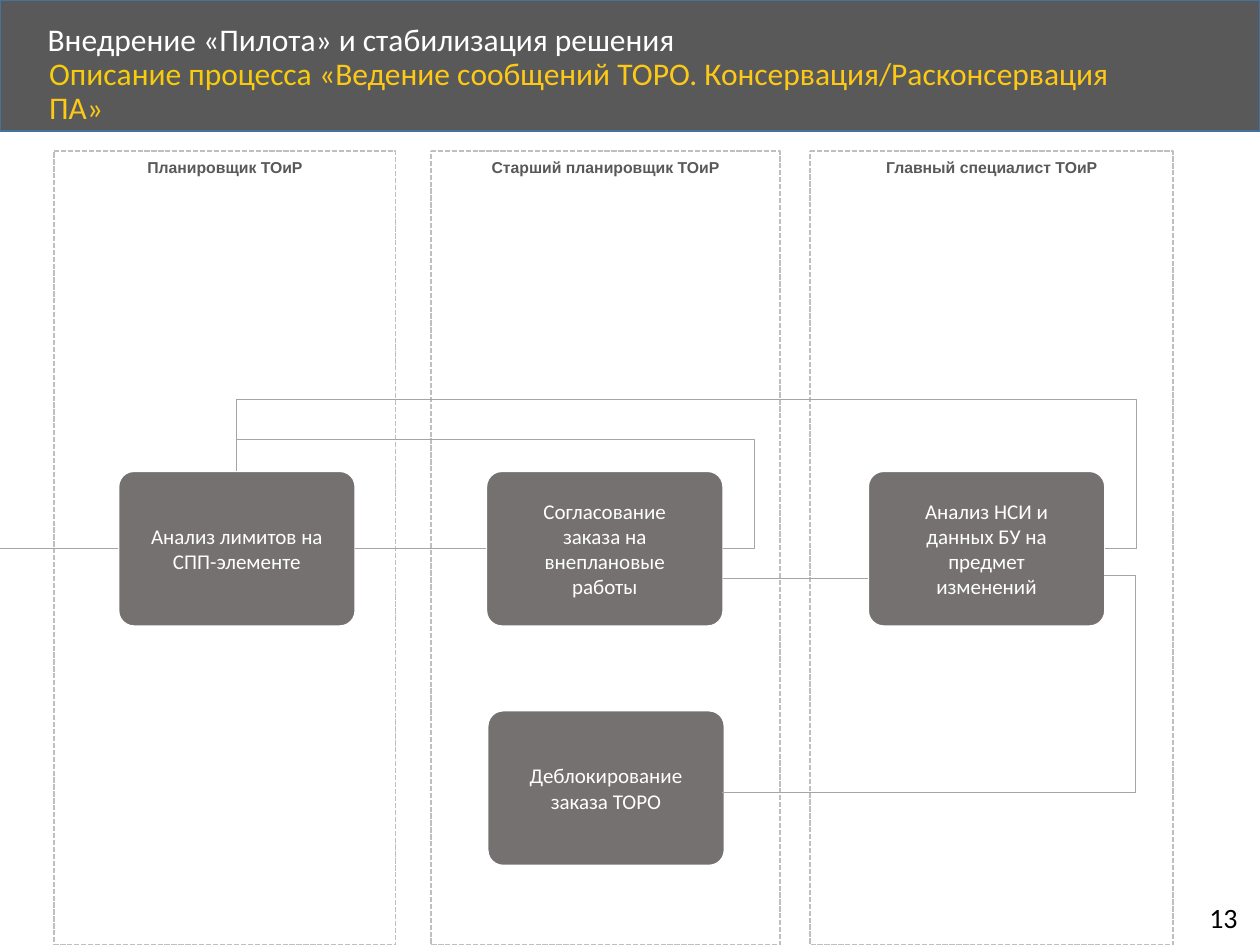
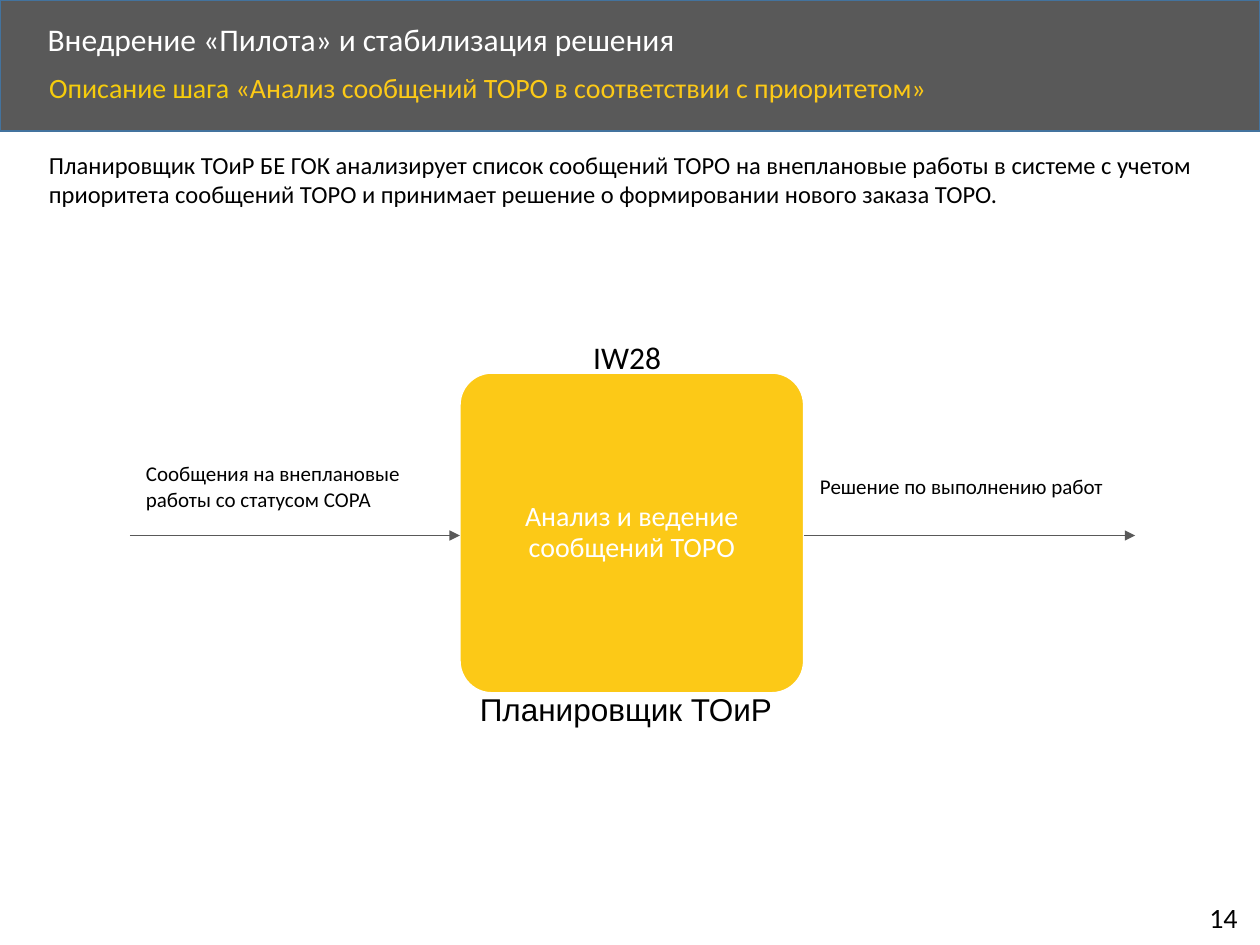
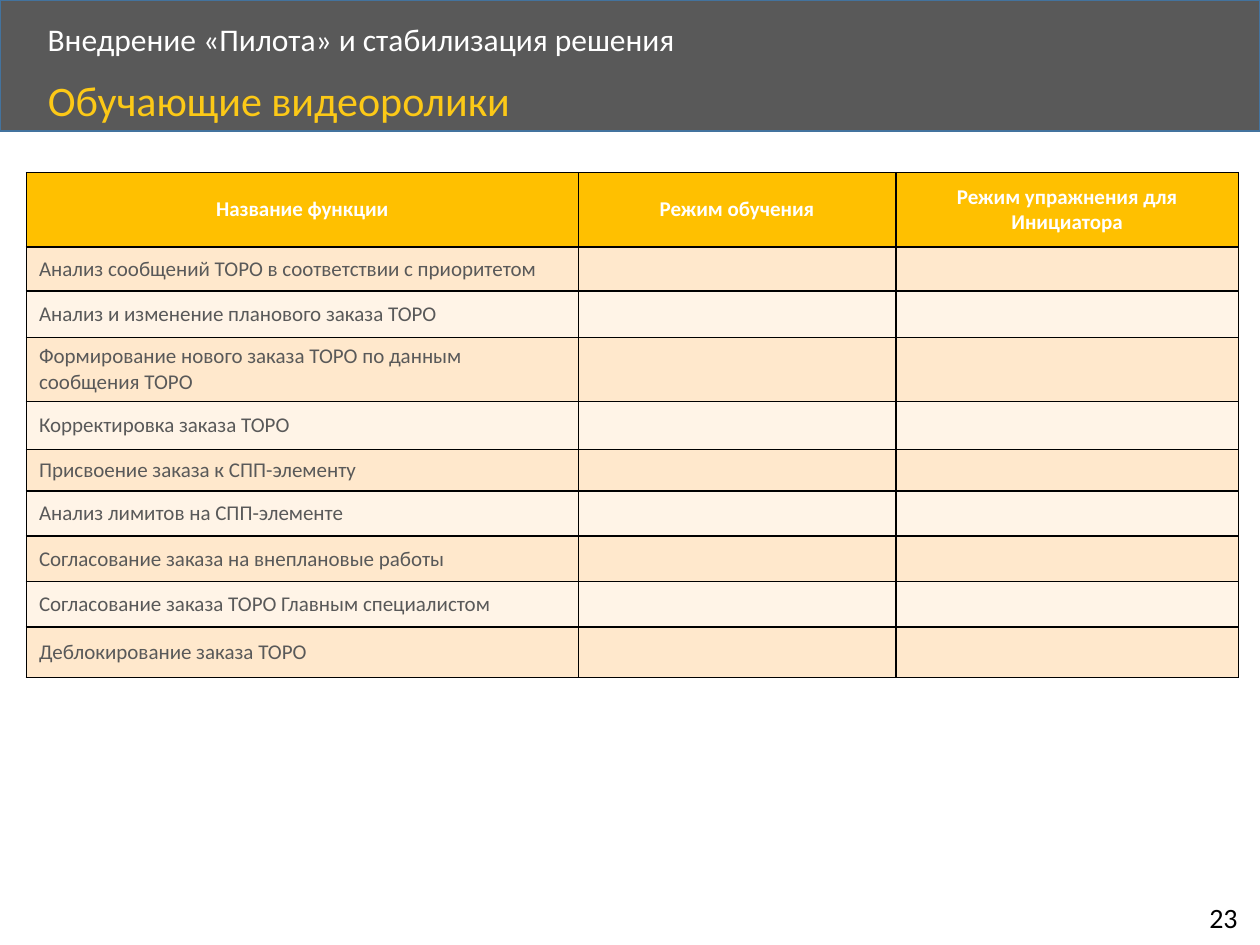
from pptx import Presentation
from pptx.dml.color import RGBColor as RGB
from pptx.enum.dml import MSO_LINE as Dash
from pptx.enum.shapes import MSO_CONNECTOR as Conn, MSO_SHAPE as Form
from pptx.enum.text import MSO_ANCHOR as Anchor, MSO_AUTO_SIZE as Fit, PP_ALIGN as Align
from pptx.oxml.ns import qn
from pptx.util import Inches, Pt
from lxml.etree import SubElement as Sub

HUES = {name: RGB.from_string(code) for name, code in {
    "band": "595959", "edge": "43739E", "white": "FFFFFF", "black": "000000",
    "gold": "FCC917", "amber": "F6CC0C", "lane": "BFBFBF", "box": "767171",
    "wire": "A5A5A5", "head": "FFC000", "odd": "FFE8CC", "even": "FFF4E7",
}.items()}


def write(frame, runs, size, hue="black", face="Calibri", bold=False, **look):
    form = {"word_wrap": True, "auto_size": Fit.NONE, "vertical_anchor": Anchor.TOP}
    form.update({key: look[key] for key in form if key in look})
    for key, val in form.items():
        setattr(frame, key, val)
    para = frame.paragraphs[0]
    para.alignment = look.get("align", Align.LEFT)
    para.line_spacing = look.get("space", 1.0)
    for text, tint in [(runs, hue)] if isinstance(runs, str) else runs:
        run = para.add_run()
        run.text = text
        for key, val in {"size": Pt(size), "name": face, "bold": bold}.items():
            setattr(run.font, key, val)
        run.font.color.rgb = HUES[tint]


def link(slide, start, end, hue="wire", form="line", bends=(), arrow=False):
    kind = Conn.ELBOW if bends else Conn.STRAIGHT
    wire = slide.shapes.add_connector(kind, *map(Inches, start + end))
    wire.line.width = Pt(0.5)
    wire.line.color.rgb = HUES[hue]
    props = wire._element.spPr
    if arrow:
        Sub(wire.line._get_or_add_ln(), qn("a:tailEnd"), type="triangle")
    Sub(props, qn("a:effectLst"))
    geom = props.find(qn("a:prstGeom"))
    geom.set("prst", form)
    for num, bend in enumerate(bends, 1):
        Sub(geom.find(qn("a:avLst")), qn("a:gd"), name=f"adj{num}", fmla=f"val {round(bend * 100000)}")
    return wire


deck = Presentation()
deck.slide_width, deck.slide_height = Inches(10), Inches(7.5)

heads = [
    ("13", 0.29, 0.41, 18, [("Описание процесса ", "amber"),
     ("«Ведение сообщений ТОРО. Консервация/Расконсервация ПА»", "gold")]),
    ("14", 0.29, 0.54, 16, [("Описание шага ", "amber"),
     ("«Анализ сообщений ТОРО в соответствии с приоритетом»", "gold")]),
    ("23", 0.28, 0.59, 24, [("Обучающие видеоролики", "gold")]),
]
for page, left, top, size, runs in heads:
    slide = deck.slides.add_slide(deck.slide_layouts[5])
    band = slide.shapes.add_shape(Form.RECTANGLE, 0, 0, Inches(10), Inches(1.04))
    band.shadow.inherit = False
    band.fill.solid()
    band.fill.fore_color.rgb = HUES["band"]
    band.line.color.rgb = HUES["edge"]
    band.line.width = Pt(1)
    slide.shapes._spTree.insert(2, band._element)
    title = slide.shapes.title
    title.left, title.top, title.width, title.height = map(Inches, (left, top, 8.67, 0.45))
    write(title.text_frame, runs, size, space=0.9)
    theme = slide.shapes.add_textbox(*map(Inches, (0.28, 0.14, 8.07, 0.38)))
    write(theme.text_frame, "Внедрение «Пилота» и стабилизация решения", 18, "white",
          space=0.9, vertical_anchor=Anchor.MIDDLE)
    foot = slide.shapes.add_textbox(*map(Inches, (9.5, 7.1, 0.46, 0.37)))
    write(foot.text_frame, page, 16, word_wrap=False)

flow, step, films = deck.slides

lanes = [
    (0.43, 2.71, "Планировщик ТОиР"),
    (3.42, 2.77, "Старший планировщик ТОиР"),
    (6.43, 2.88, "Главный специалист ТОиР"),
]
for left, width, text in lanes:
    lane = flow.shapes.add_shape(Form.ROUNDED_RECTANGLE, *map(Inches, (left, 1.2, width, 6.3)))
    lane.adjustments[0] = 0
    lane.shadow.inherit = False
    lane.fill.background()
    lane.line.color.rgb = HUES["lane"]
    lane.line.width = Pt(1)
    lane.line.dash_style = Dash.SQUARE_DOT
    write(lane.text_frame, text, 9, "band", "Arial", True, align=Align.CENTER)

boxes = [
    (flow, 0.94, 3.74, 1.88, 1.23, "box", 12, 0.2, 1.0, "Анализ лимитов на СПП-элементе"),
    (flow, 3.86, 3.74, 1.88, 1.23, "box", 12, 0.2, 1.0, "Согласование заказа на внеплановые работы"),
    (flow, 6.89, 3.74, 1.88, 1.23, "box", 12, 0.2, 1.0, "Анализ НСИ и данных БУ на предмет изменений"),
    (flow, 3.87, 5.64, 1.88, 1.23, "box", 12, 0.2, 1.0, "Деблокирование заказа ТОРО"),
    (step, 3.65, 2.96, 2.73, 2.54, "gold", 16, 0.07, 0.9, "Анализ и ведение сообщений ТОРО"),
]
cards = []
for slide, left, top, width, height, hue, size, inset, space, text in boxes:
    card = slide.shapes.add_shape(Form.ROUNDED_RECTANGLE, *map(Inches, (left, top, width, height)))
    card.adjustments[0] = 0.1
    card.shadow.inherit = False
    card.fill.solid()
    card.fill.fore_color.rgb = HUES[hue]
    card.line.color.rgb = HUES["white"]
    card.line.width = Pt(1)
    card.text_frame.margin_left = card.text_frame.margin_right = Inches(inset)
    write(card.text_frame, text, size, "white", align=Align.CENTER, space=space,
          vertical_anchor=Anchor.MIDDLE)
    cards.append(card)

for start, end in [((0.94, 4.35), (0, 4.35)), ((2.82, 4.35), (3.86, 4.35)), ((5.74, 4.59), (6.89, 4.59))]:
    link(flow, start, end)
link(flow, (8.76, 4.57), (5.73, 6.29), form="bentConnector3", bends=(-0.083,))
for card, left, bends in [(cards[1], 5.74, (-0.065, 1.406)), (cards[2], 8.77, (-0.036, 1.927))]:
    wire = link(flow, (left, 4.35), (1.88, 3.74), form="bentConnector4", bends=bends)
    wire.begin_connect(card, 3)
    wire.end_connect(cards[0], 0)

for left, right in [(1.03, 3.65), (6.38, 9.01)]:
    link(step, (left, 4.25), (right, 4.25), "band", arrow=True)

notes = [
    (4.61, 2.63, 0.75, 0.4, 18, "Calibri", False, "IW28"),
    (3.71, 5.43, 2.61, 0.4, 18, "Arial", True, "Планировщик ТОиР"),
    (1.06, 3.61, 2.56, 0.5, 12, "Calibri", True, "Сообщения на внеплановые работы со статусом СОРА"),
    (6.41, 3.71, 2.57, 0.3, 12, "Calibri", True, "Решение по выполнению работ"),
    (0.29, 1.14, 9.46, 0.57, 14, "Calibri", True,
     "Планировщик ТОиР БЕ ГОК анализирует список сообщений ТОРО на внеплановые работы в системе "
     "с учетом приоритета сообщений ТОРО и принимает решение о формировании нового заказа ТОРО."),
]
for left, top, width, height, size, face, wrap, text in notes:
    note = step.shapes.add_textbox(*map(Inches, (left, top, width, height)))
    write(note.text_frame, text, size, face=face, word_wrap=wrap)

rows = [
    (0.59, ["Название функции", "Режим обучения", "Режим упражнения для Инициатора"]),
    (0.35, ["Анализ сообщений ТОРО в соответствии с приоритетом"]),
    (0.37, ["Анализ и изменение планового заказа ТОРО"]),
    (0.35, ["Формирование нового заказа ТОРО по данным сообщения ТОРО"]),
    (0.38, ["Корректировка заказа ТОРО"]),
    (0.33, ["Присвоение заказа к СПП-элементу"]),
    (0.36, ["Анализ лимитов на СПП-элементе"]),
    (0.36, ["Согласование заказа на внеплановые работы"]),
    (0.36, ["Согласование заказа ТОРО Главным специалистом"]),
    (0.4, ["Деблокирование заказа ТОРО"]),
]
grid = films.shapes.add_table(len(rows), 3, *map(Inches, (0.21, 1.37, 9.62, 3.85))).table
for col, width in zip(grid.columns, (4.38, 2.52, 2.72)):
    col.width = Inches(width)
for num, (height, texts) in enumerate(rows):
    grid.rows[num].height = Inches(height)
    head = num == 0
    for spot, cell in enumerate(grid.rows[num].cells):
        props = cell._tc.get_or_add_tcPr()
        for side in ("lnL", "lnR", "lnT", "lnB"):
            edge = Sub(props, qn(f"a:{side}"), w=str(Pt(1)))
            Sub(Sub(edge, qn("a:solidFill")), qn("a:srgbClr"), val=str(HUES["black"]))
        cell.fill.solid()
        cell.fill.fore_color.rgb = HUES["head" if head else "odd" if num % 2 else "even"]
        cell.vertical_anchor = Anchor.MIDDLE
        if spot < len(texts):
            para = cell.text_frame.paragraphs[0]
            para.text = texts[spot]
            para.alignment = Align.CENTER if head else Align.LEFT
            for key, val in {"size": Pt(12), "name": "Calibri", "bold": head}.items():
                setattr(para.font, key, val)
            para.font.color.rgb = HUES["white" if head else "band"]
        else:
            cell.text_frame.paragraphs[0].font.size = Pt(12)

deck.save("out.pptx")
